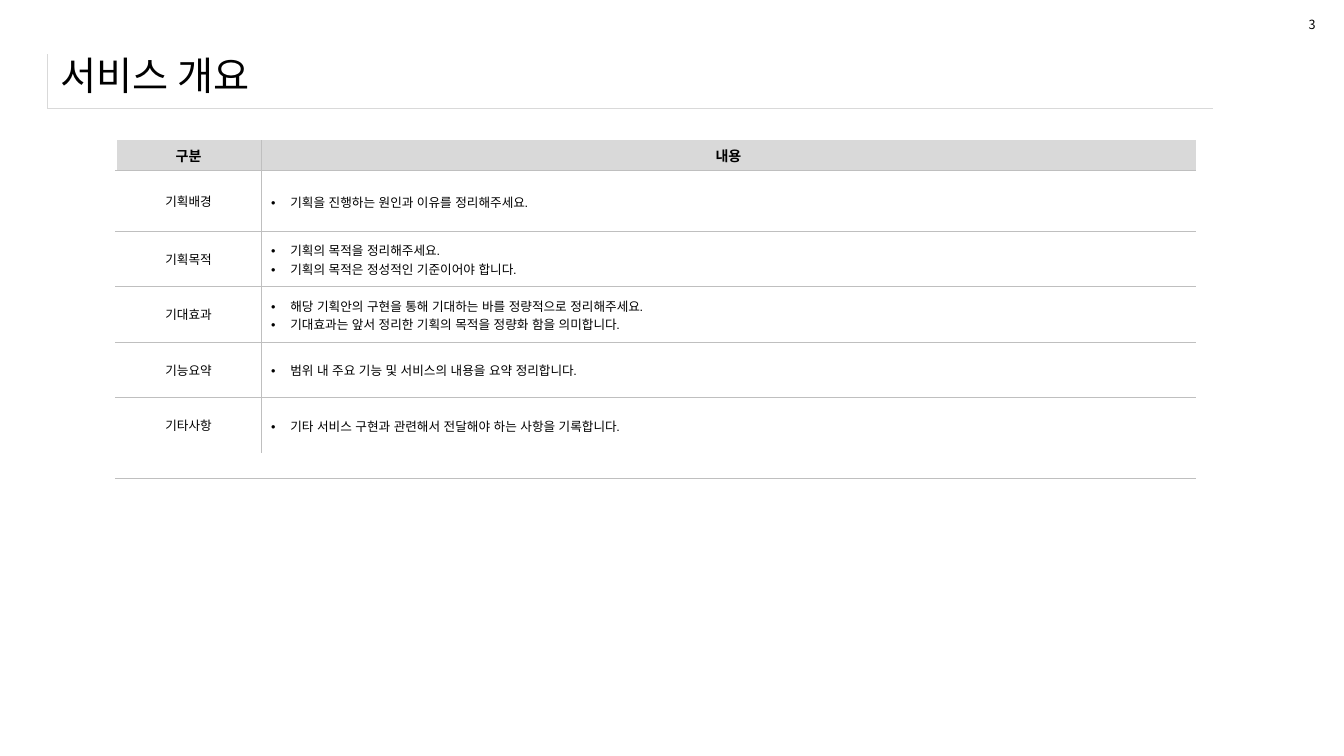
from dataclasses import dataclass

from lxml.etree import SubElement
from pptx import Presentation
from pptx.dml.color import RGBColor
from pptx.enum.text import MSO_ANCHOR, MSO_AUTO_SIZE, PP_ALIGN
from pptx.oxml import parse_xml
from pptx.oxml.ns import nsdecls, qn
from pptx.util import Inches, Length, Pt


@dataclass(frozen=True)
class Rule:
    color: str
    width: Length


@dataclass(frozen=True)
class Theme:
    ink: str = "000000"
    header_fill: str = "D9D9D9"
    title_rule: Rule = Rule("D9D9D9", Pt(0.25))
    table_rule: Rule = Rule("BFBFBF", Pt(0.25))
    outer_rule: Rule = Rule("FFFFFF", Pt(1))
    korean: str = "Noto Sans CJK KR"
    latin: str = "Arial"
    title_size: Length = Pt(28)
    header_size: Length = Pt(10)
    body_size: Length = Pt(9)


@dataclass(frozen=True)
class Topic:
    label: str
    points: tuple[str, ...]
    height: float = 0.55


THEME = Theme()
HEADINGS = ("구분", "내용")
TOPICS = (
    Topic("기획배경", ("기획을 진행하는 원인과 이유를 정리해주세요.",), 0.6),
    Topic("기획목적", ("기획의 목적을 정리해주세요.",
                   "기획의 목적은 정성적인 기준이어야 합니다.")),
    Topic("기대효과", ("해당 기획안의 구현을 통해 기대하는 바를 정량적으로 정리해주세요.",
                   "기대효과는 앞서 정리한 기획의 목적을 정량화 함을 의미합니다.")),
    Topic("기능요약", ("범위 내 주요 기능 및 서비스의 내용을 요약 정리합니다.",)),
    Topic("기타사항", ("기타 서비스 구현과 관련해서 전달해야 하는 사항을 기록합니다.",)),
)
HEADER_HEIGHT, CLOSING_HEIGHT = 0.28, 0.16
COLUMN_WIDTHS = (1.44, 9.27)


def style_runs(paragraph, size: Length, font: str, bold: bool = False) -> None:
    for run in paragraph.runs:
        run.font.size = size
        run.font.bold = bold
        run.font.name = font
        run.font.color.rgb = RGBColor.from_string(THEME.ink)
        SubElement(run.font._element, qn("a:ea"), typeface=font)


def add_label(slide, text: str, left: float, top: float, width: float,
              height: float, size: Length, wrap: bool) -> None:
    frame = slide.shapes.add_textbox(
        Inches(left), Inches(top), Inches(width), Inches(height)).text_frame
    frame.text = text
    frame.word_wrap = wrap
    frame.vertical_anchor = MSO_ANCHOR.MIDDLE if wrap else MSO_ANCHOR.TOP
    frame.auto_size = MSO_AUTO_SIZE.NONE if wrap else MSO_AUTO_SIZE.SHAPE_TO_FIT_TEXT
    style_runs(frame.paragraphs[0], size, THEME.korean)


def add_plain_table(slide, left: float, top: float, widths: tuple[float, ...],
                    heights: tuple[float, ...]):
    table = slide.shapes.add_table(
        len(heights), len(widths), Inches(left), Inches(top),
        Inches(sum(widths)), Inches(sum(heights))).table
    table.first_row = table.horz_banding = False
    for column, width in zip(table.columns, widths):
        column.width = Inches(width)
    for row, height in zip(table.rows, heights):
        row.height = Inches(height)
        for cell in row.cells:
            cell.vertical_anchor = MSO_ANCHOR.MIDDLE
            cell.fill.background()
    return table


def set_borders(cell, rules: dict[str, Rule]) -> None:
    """Draw the given sides (L, R, T, B) and clear the others."""
    properties = cell._tc.get_or_add_tcPr()
    for position, side in enumerate("LRTB"):
        rule = rules.get(side)
        width = f' w="{int(rule.width)}"' if rule else ""
        paint = (f'<a:solidFill><a:srgbClr val="{rule.color}"/></a:solidFill>'
                 if rule else "<a:noFill/>")
        properties.insert(position, parse_xml(
            f'<a:ln{side} {nsdecls("a")}{width}>{paint}</a:ln{side}>'))


def fill_label(cell, topic: Topic) -> None:
    cell.text_frame.text = topic.label
    paragraph = cell.text_frame.paragraphs[0]
    paragraph.alignment = PP_ALIGN.CENTER
    paragraph.line_spacing = 1.2
    style_runs(paragraph, THEME.body_size, THEME.latin)


def fill_points(cell, topic: Topic) -> None:
    cell.text_frame.text = "\n".join(topic.points)
    indent = Inches(0.19)
    for paragraph in cell.text_frame.paragraphs:
        paragraph.alignment = PP_ALIGN.JUSTIFY
        paragraph.line_spacing = 1.3
        properties = paragraph._p.get_or_add_pPr()
        properties.set("marL", str(indent))
        properties.set("indent", str(-indent))
        SubElement(properties, qn("a:buFont"), typeface=THEME.latin)
        SubElement(properties, qn("a:buChar"), char="•")
        style_runs(paragraph, THEME.body_size, THEME.latin)


def add_overview(slide) -> None:
    heights = (HEADER_HEIGHT, *(topic.height for topic in TOPICS), CLOSING_HEIGHT)
    overview = add_plain_table(slide, 1.15, 1.39, COLUMN_WIDTHS, heights)

    # Grid: rules below every row except the last topic, one divider between columns
    closing = len(heights) - 1
    for r, row in enumerate(overview.rows):
        for c, cell in enumerate(row.cells):
            above = "T" if 0 < r < closing else ""
            below = "B" if r != closing - 1 else ""
            divider = "RL"[c] if r < closing else ""
            rules = {side: THEME.table_rule for side in above + below + divider}
            if c == 0:
                rules["L"] = THEME.outer_rule
            set_borders(cell, rules)

    # Header
    for cell, heading in zip(overview.rows[0].cells, HEADINGS):
        cell.fill.solid()
        cell.fill.fore_color.rgb = RGBColor.from_string(THEME.header_fill)
        cell.text_frame.text = heading
        paragraph = cell.text_frame.paragraphs[0]
        paragraph.alignment = PP_ALIGN.CENTER
        style_runs(paragraph, THEME.header_size, THEME.korean, bold=True)

    # Topics
    for r, topic in enumerate(TOPICS, start=1):
        fill_label(overview.cell(r, 0), topic)
        fill_points(overview.cell(r, 1), topic)

    # Closing row, kept low by a small empty line
    for cell in overview.rows[closing].cells:
        SubElement(cell.text_frame.paragraphs[0]._p, qn("a:endParaRPr"),
                   sz=str(int(THEME.body_size.pt * 100)))
    overview.cell(closing, 0).merge(overview.cell(closing, 1))


presentation = Presentation()
presentation.slide_width = Inches(13.33)
presentation.slide_height = Inches(7.5)
slide = presentation.slides.add_slide(presentation.slide_layouts[6])

# Title with its corner frame
title_frame = add_plain_table(slide, 0.47, 0.54, (11.56,), (0.53,))
set_borders(title_frame.cell(0, 0), {"L": THEME.title_rule, "B": THEME.title_rule})
add_label(slide, "서비스 개요", 0.5, 0.41, 12.49, 0.67, THEME.title_size, wrap=True)

# Overview table
add_overview(slide)

# Page number
add_label(slide, "3", 12.88, 0.12, 0.27, 0.25, THEME.body_size, wrap=False)

presentation.save("out.pptx")
